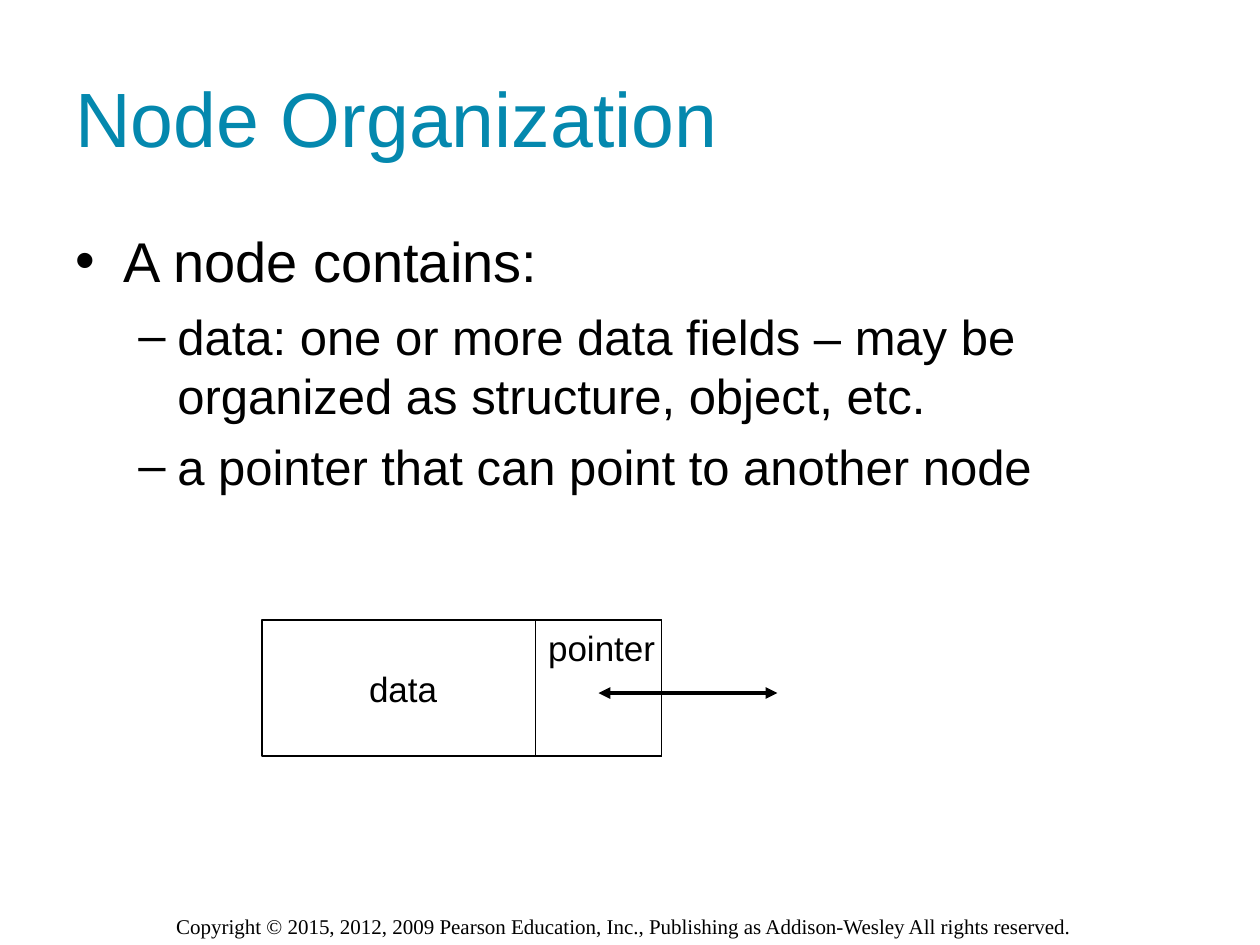
"""Build the Node Organization slide."""
from pptx import Presentation
from pptx.dml.color import RGBColor
from pptx.enum.shapes import MSO_CONNECTOR as Line, MSO_SHAPE as Shape
from pptx.enum.text import MSO_ANCHOR as Anchor, PP_ALIGN as Align
from pptx.oxml.ns import qn
from pptx.util import Inches, Pt
from lxml.etree import SubElement

BLACK = RGBColor(0, 0, 0)
TEAL = RGBColor(0x04, 0x88, 0xAE)

TITLE = "Node Organization"
POINTS = [
    (0, "A node contains:"),
    (1, "data: one or more data fields – may be organized as structure, object, etc."),
    (1, "a pointer that can point to another node"),
]
LEVELS = [
    dict(mark="•", left=0.38, hang=0.38, size=32, gap=8),
    dict(mark="–", left=0.81, hang=0.31, size=28, gap=7),
]
NOTICE = ("Copyright © 2015, 2012, 2009 Pearson Education, Inc., "
          "Publishing as Addison-Wesley All rights reserved.")
CELLS = [(2.08, 4.92, 3.17, 1.08), (4.25, 4.92, 1, 1.08)]
LABELS = [("data", (2.83, 5.25, 0.74, 0.44)), ("pointer", (4.25, 4.92, 1.05, 0.44))]
ARROW = (4.75, 5.5, 6.17, 5.5)


def add_box(slide, area, wrap=True, anchor=Anchor.TOP):
    """Return the text frame of a new text box."""
    frame = slide.shapes.add_textbox(*map(Inches, area)).text_frame
    frame.word_wrap = wrap
    frame.vertical_anchor = anchor
    return frame


def put_text(para, text, size=20, color=BLACK, face="Arial", align=Align.LEFT):
    """Fill a paragraph with formatted text."""
    para.alignment = align
    run = para.add_run()
    run.text = text
    run.font.size = Pt(size)
    run.font.name = face
    run.font.color.rgb = color


def add_mark(para, mark, left, hang):
    """Give a paragraph a bullet and a hanging indent."""
    props = para._p.get_or_add_pPr()
    props.set("marL", str(Inches(left)))
    props.set("indent", str(-Inches(hang)))
    SubElement(props, qn("a:buFont"), typeface="Arial")
    SubElement(props, qn("a:buChar"), char=mark)


def add_list(slide):
    """Add the bulleted points."""
    frame = add_box(slide, (0.5, 1.75, 9, 4.95))
    for num, (level, text) in enumerate(POINTS):
        para = frame.add_paragraph() if num else frame.paragraphs[0]
        form = LEVELS[level]
        para.level = level
        add_mark(para, form["mark"], form["left"], form["hang"])
        if num:
            para.space_before = Pt(form["gap"])
        put_text(para, text, size=form["size"])


def add_node(slide):
    """Draw the node, its labels and its pointer arrow."""
    for area in CELLS:
        cell = slide.shapes.add_shape(Shape.RECTANGLE, *map(Inches, area))
        cell.shadow.inherit = False
        cell.fill.background()
        cell.line.color.rgb = BLACK
        cell.line.width = Pt(0.75)
    for text, area in LABELS:
        frame = add_box(slide, area, wrap=False)
        put_text(frame.paragraphs[0], text, align=Align.CENTER)
    arrow = slide.shapes.add_connector(Line.STRAIGHT, *map(Inches, ARROW))
    arrow.line.color.rgb = BLACK
    arrow.line.width = Pt(2.25)
    stroke = arrow.line._get_or_add_ln()
    for end in ("a:headEnd", "a:tailEnd"):
        SubElement(stroke, qn(end), type="triangle")
    SubElement(arrow._element.spPr, qn("a:effectLst"))


def main():
    """Build and save the slide."""
    deck = Presentation()
    deck.slide_width, deck.slide_height = Inches(10), Inches(7.5)
    slide = deck.slides.add_slide(deck.slide_layouts[6])
    notice = add_box(slide, (1.3, 7.2, 7.42, 0.3))
    put_text(notice.paragraphs[0], NOTICE, size=12, face="Times New Roman")
    title = add_box(slide, (0.5, 0.3, 9, 1.25), anchor=Anchor.MIDDLE)
    put_text(title.paragraphs[0], TITLE, size=44, color=TEAL)
    add_list(slide)
    add_node(slide)
    deck.save("out.pptx")


if __name__ == "__main__":
    main()
